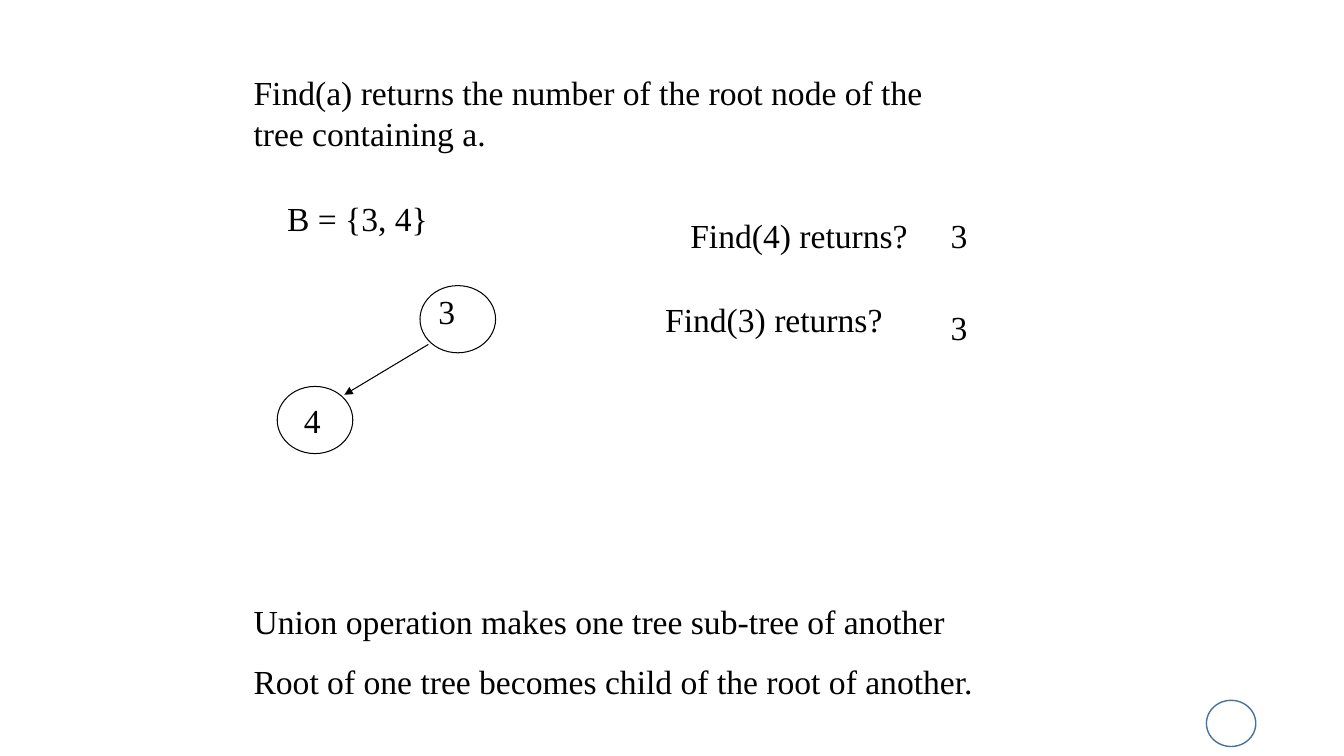
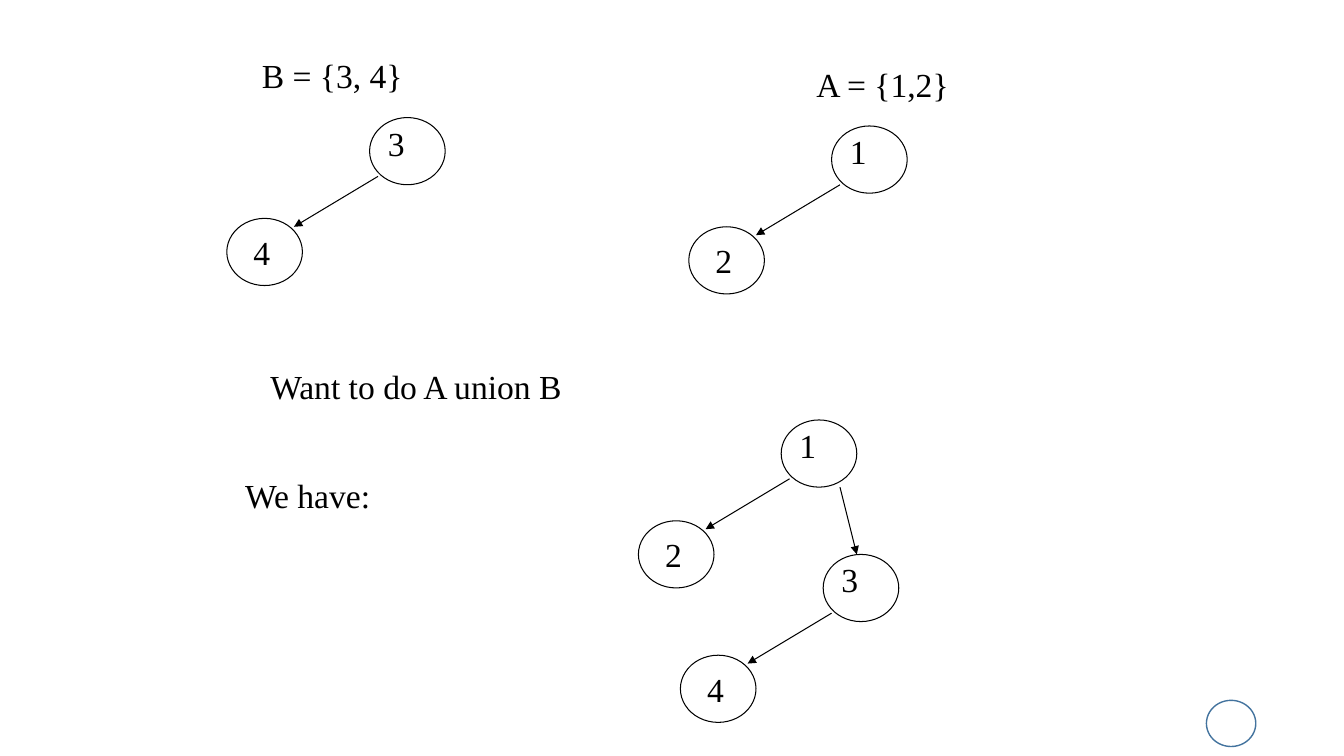
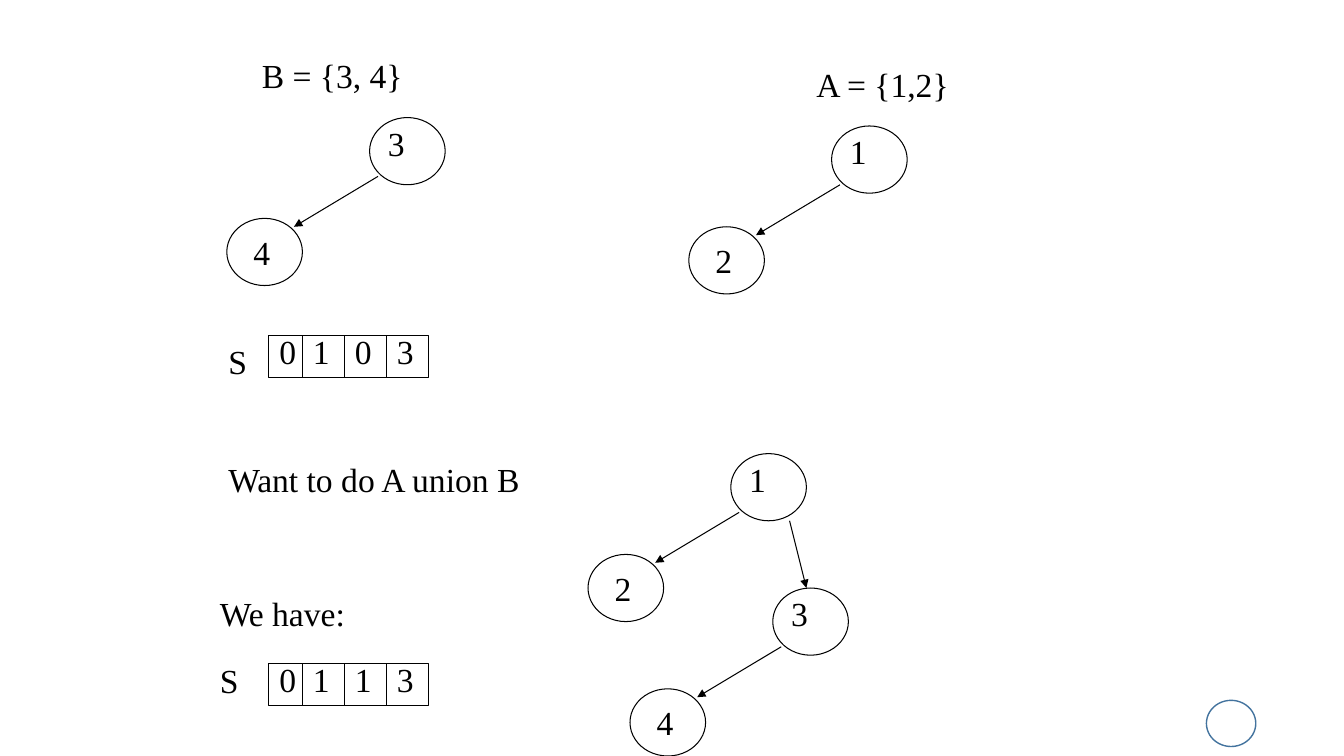
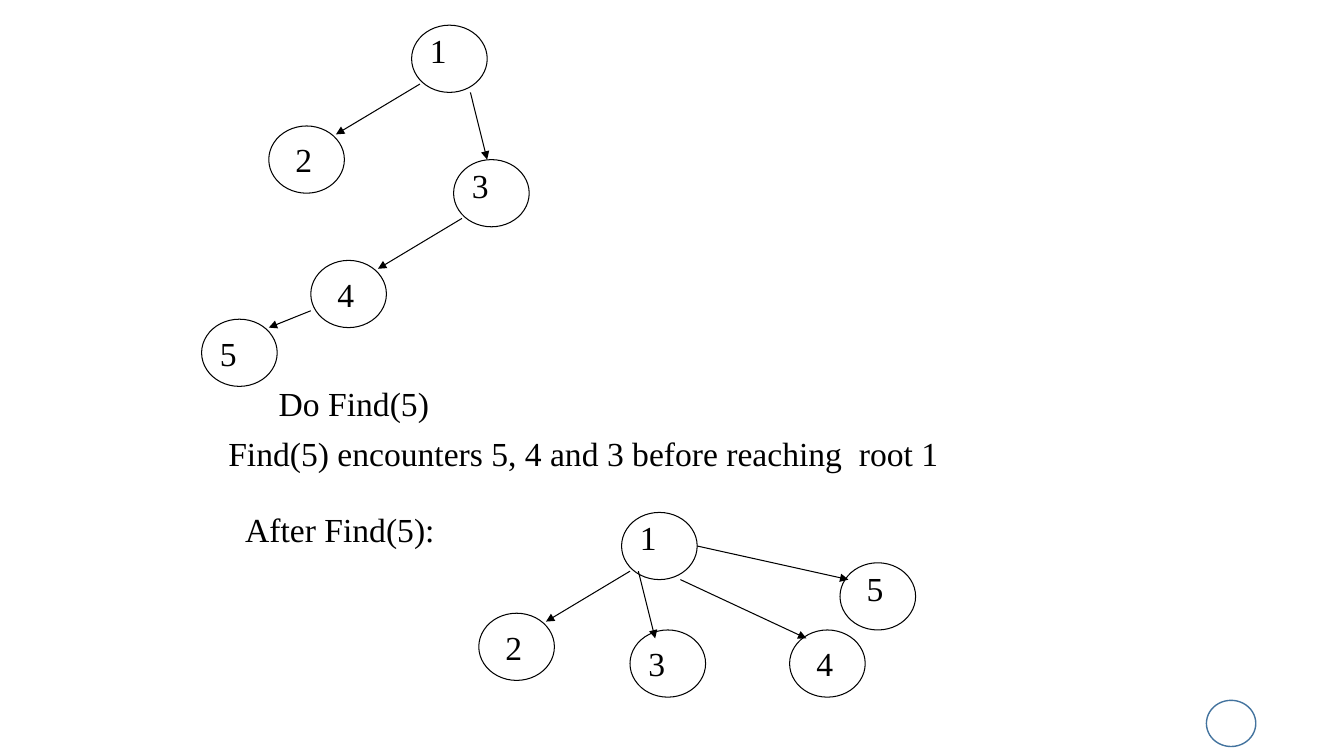
from lxml.etree import SubElement
from pptx import Presentation
from pptx.dml.color import RGBColor
from pptx.enum.shapes import MSO_CONNECTOR as CONN, MSO_SHAPE as SHAPE
from pptx.enum.text import MSO_ANCHOR as ANCHOR
from pptx.oxml.ns import qn
from pptx.util import Pt

PX = 9525  # EMU per px
COLORS = {"ink": "000000", "badge": "43739E"}
FONT = "Times New Roman"
NODE_W, NODE_H = 72, 64
BADGE = (1149, 667, 47, 44)
CELL_WIDTHS = (32, 40, 40, 40)
CELL_H = 40


# Trees: nodes are (label, x, y, label dx, label dy), edges (x1, y1, x2, y2),
# all relative to the top left corner of the root node
def pair(parent, child, x=0, y=0):
    nodes = [(parent, x, y, 8, 0), (child, x - 136, y + 96, 16, 8)]
    return nodes, [(x + 8, y + 56, x - 72, y + 104)]


def join(*trees):
    return sum((t[0] for t in trees), []), sum((t[1] for t in trees), [])


TREE_A = pair("1", "2")
TREE_B = pair("3", "4")
UNION = join(TREE_A, pair("3", "4", 40, 128), ([], [(56, 64, 72, 128)]))
BEFORE_FIND = join(UNION, ([("5", -200, 280, 8, 8)], [(-96, 272, -136, 288)]))
AFTER_FIND = join(TREE_A, (
    [("3", 8, 112, 8, 8), ("4", 160, 112, 16, 8), ("5", 208, 48, 16, 0)],
    [(16, 56, 32, 120), (56, 64, 176, 120), (72, 32, 216, 64)]))

# Content: texts are (x, y, width, paragraphs), trees (x, y, tree),
# arrays (x, y, digits)
SET_TEXTS = [(240, 48, 344, ["B = {3, 4}"]), (768, 56, 256, ["A = {1,2}"])]
SET_TREES = [(352, 112, TREE_B), (792, 120, TREE_A)]
SLIDES = [
    {"texts": [
        (232, 64, 696, ["Find(a) returns the number of the root node of the tree containing a."]),
        (232, 568, 752, ["Union operation makes one tree sub-tree of another",
                         "Root of one tree becomes child of the root of another."]),
        (264, 184, 344, ["B = {3, 4}"]),
        (648, 200, 240, ["Find(4) returns?"]),
        (896, 200, 88, ["3"]),
        (624, 280, 264, ["Find(3) returns?"]),
        (896, 288, 88, ["3"])],
     "trees": [(400, 272, TREE_B)]},
    {"texts": SET_TEXTS + [
        (248, 344, 408, ["Want to do A union B"]),
        (224, 448, 336, ["We have:"])],
     "trees": SET_TREES + [(744, 400, UNION)]},
    {"texts": SET_TEXTS + [
        (208, 432, 344, ["Want to do A union B"]),
        (200, 560, 336, ["We have:"]),
        (208, 320, 48, ["S"]),
        (200, 624, 48, ["S"])],
     "trees": SET_TREES + [(696, 432, UNION)],
     "arrays": [(256, 320, "0103"), (256, 632, "0113")]},
    {"texts": [
        (256, 360, 240, ["Do Find(5)"]),
        (208, 408, 736, ["Find(5) encounters 5, 4 and 3 before reaching  root 1"]),
        (224, 480, 272, ["After Find(5):"])],
     "trees": [(392, 24, BEFORE_FIND), (592, 488, AFTER_FIND)]},
]


def emu(*lengths):
    return [n * PX for n in lengths]


def color(name):
    return RGBColor.from_string(COLORS[name])


def write(tf, lines):
    tf.word_wrap = True
    for i, line in enumerate(lines):
        p = tf.add_paragraph() if i else tf.paragraphs[0]
        p.text = line
        if i:
            p.space_before = Pt(14)
        font = p.runs[0].font
        font.name, font.size, font.color.rgb = FONT, Pt(24), color("ink")


def add_text(shapes, x, y, w, lines):
    write(shapes.add_textbox(*emu(x, y, w, 48)).text_frame, lines)


def add_outline(shapes, kind, box, line="ink", weight=0.75):
    s = shapes.add_shape(kind, *emu(*box))
    s.shadow.inherit = False
    s.fill.background()
    s.line.color.rgb, s.line.width = color(line), Pt(weight)
    return s


def add_arrow(shapes, *ends):
    c = shapes.add_connector(CONN.STRAIGHT, *emu(*ends))
    c.line.color.rgb, c.line.width = color("ink"), Pt(0.75)
    SubElement(c.line._get_or_add_ln(), qn("a:tailEnd"), type="triangle")
    SubElement(c.element.spPr, qn("a:effectLst"))


def add_tree(slide, x, y, tree):
    shapes = slide.shapes.add_group_shape().shapes
    nodes, edges = tree
    for label, dx, dy, label_dx, label_dy in nodes:
        left, top = x + dx, y + dy
        add_outline(shapes, SHAPE.OVAL, (left, top, NODE_W, NODE_H))
        add_text(shapes, left + label_dx, top + label_dy, 48, [label])
    for x1, y1, x2, y2 in edges:
        add_arrow(shapes, x + x1, y + y1, x + x2, y + y2)


def add_array(slide, x, y, digits):
    shapes = slide.shapes.add_group_shape().shapes
    for digit, w in zip(digits, CELL_WIDTHS):
        cell = add_outline(shapes, SHAPE.RECTANGLE, (x, y, w, CELL_H))
        tf = cell.text_frame
        tf.vertical_anchor = ANCHOR.BOTTOM
        tf.margin_left, tf.margin_top, tf.margin_right, tf.margin_bottom = emu(10, 0, 0, 6)
        write(tf, [digit])
        tf.paragraphs[0].alignment = 1  # left
        x += w


def main():
    prs = Presentation()
    prs.slide_width, prs.slide_height = emu(1280, 720)
    layout = prs.slide_layouts[6]
    for content in SLIDES:
        slide = prs.slides.add_slide(layout)
        for text in content["texts"]:
            add_text(slide.shapes, *text)
        for tree in content["trees"]:
            add_tree(slide, *tree)
        for array in content.get("arrays", []):
            add_array(slide, *array)

    # Page badge, moved to the layout so that every slide shows it
    badge = add_outline(prs.slides[0].shapes, SHAPE.OVAL, BADGE, "badge", 1)
    layout.element.cSld.spTree.append(badge.element)
    prs.save("out.pptx")


if __name__ == "__main__":
    main()
